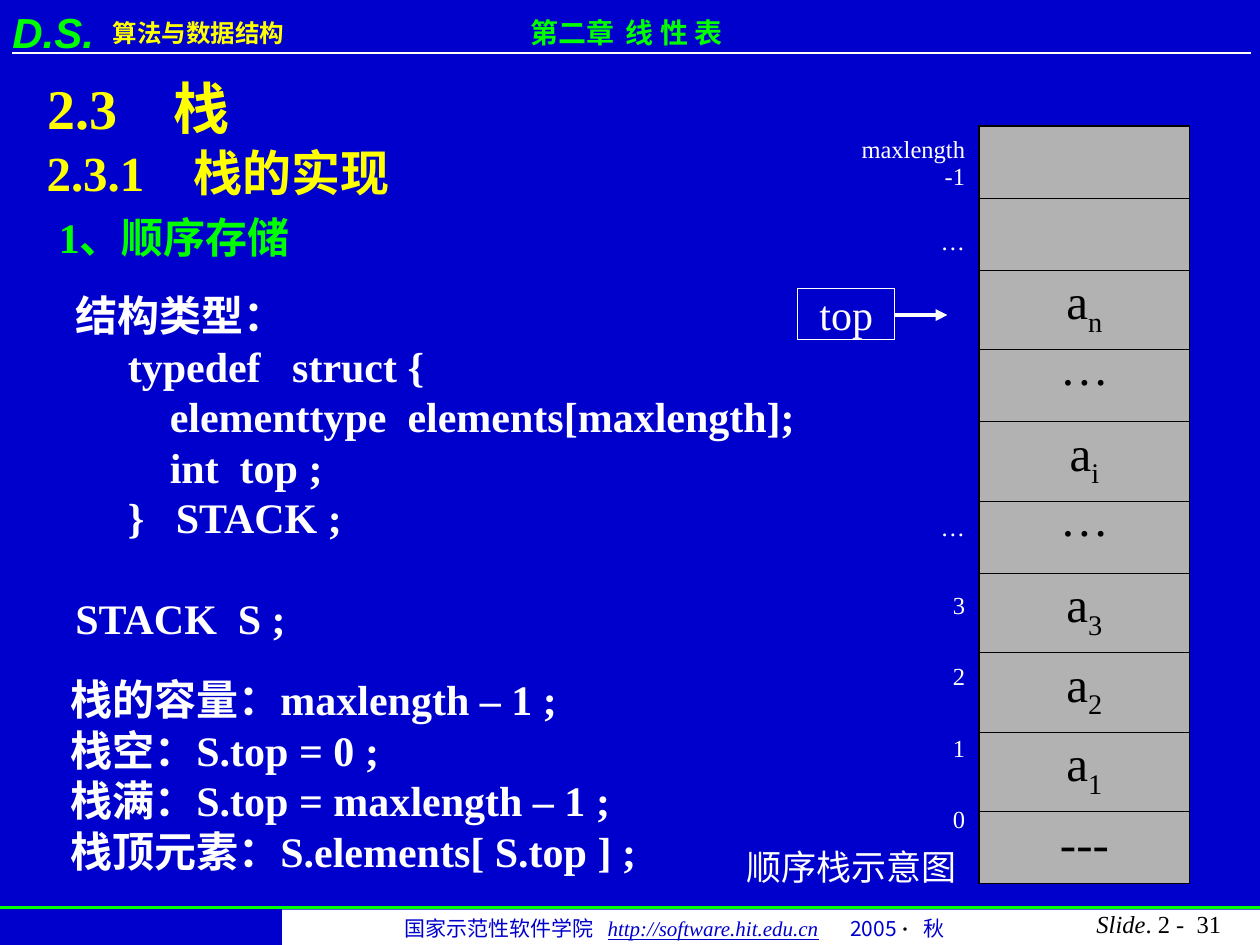
"""Build the slide on sequential storage of a stack."""
from lxml import etree
from pptx import Presentation
from pptx.dml.color import RGBColor
from pptx.enum import shapes as kind, text as mode
from pptx.oxml import ns
from pptx.util import Cm, Pt

BLUE = RGBColor(0x00, 0x00, 0xCC)
GREEN = RGBColor(0x00, 0xFF, 0x00)
YELLOW = RGBColor(0xFF, 0xFF, 0x00)
WHITE = RGBColor(0xFF, 0xFF, 0xFF)
BLACK = RGBColor(0x00, 0x00, 0x00)
GRAY = RGBColor(0xB2, 0xB2, 0xB2)
ROMAN, HAN, SANS = "Times New Roman", "Noto Sans CJK SC", "Arial"
PLAIN = "{2D5ABB26-0587-4C30-8999-92F81FD0307C}"
RIGHT, CENTER = mode.PP_ALIGN.RIGHT, mode.PP_ALIGN.CENTER

CODE = [
    "结构类型：",
    "     typedef   struct {",
    "         elementtype  elements[maxlength];",
    "         int  top ;",
    "     }   STACK ;",
    "STACK  S ;",
]
FACTS = [
    "栈的容量：maxlength – 1 ;",
    "栈空：S.top = 0 ;",
    "栈满：S.top = maxlength – 1 ;",
    "栈顶元素：S.elements[ S.top ] ;",
]
TEXTS = [
    ((2.02, 0.23, 4.88, 0.86), ["算法与数据结构"], 14, HAN, YELLOW, True, []),
    ((10.44, 0.18, 5, 0.94), ["第二章\t线 性 表"], 16, ROMAN, GREEN, True, [1.93]),
    ((0.69, 2.74, 8.2, 1.45), ["2.3.1\t栈的实现"], 28, ROMAN, YELLOW, True, [2.97]),
    ((0.71, 1.35, 5, 1.63), ["2.3\t栈"], 32, ROMAN, YELLOW, True, [2.54]),
    ((0.94, 4.14, 6, 1.27), ["1、顺序存储"], 24, ROMAN, GREEN, True, []),
    ((14.8, 16.92, 4.9, 1.12), ["顺序栈示意图"], 20, ROMAN, WHITE, False, []),
    ((1.17, 13.46, 13, 4.32), FACTS, 24, ROMAN, WHITE, True, []),
]
FOOT = [
    ("国家示范性软件学院\t", HAN, BLUE, False),
    ("http://software.hit.edu.cn", ROMAN, BLUE, True),
    ("\t2005 ", HAN, BLUE, False),
    ("·\t", ROMAN, BLACK, False),
    ("秋", HAN, BLUE, False),
]
STACK = [("", ""), ("", ""), ("a", "n"), ("···", ""), ("a", "i"), ("···", ""),
         ("a", "3"), ("a", "2"), ("a", "1"), ("---", "")]
MARKS = ["maxlength-1", "···", "", "", "", "···", "3", "2", "1", "0"]


def add(node, tag, **attrs):
    return etree.SubElement(node, ns.qn(tag), attrs)


def style(font, size, name, color, bold=False):
    font.size, font.name, font.bold = Pt(size), name, bold
    font.color.rgb = color
    add(font._rPr, "a:ea", typeface=HAN)


def set_tabs(para, stops):
    if stops:
        tabs = add(para._p.get_or_add_pPr(), "a:tabLst")
        for stop in stops:
            add(tabs, "a:tab", pos=str(Cm(stop)), algn="l")


def write(slide, place, lines, size, name, color, bold=False, stops=()):
    frame = slide.shapes.add_textbox(*map(Cm, place)).text_frame
    frame.word_wrap = True
    for i, line in enumerate(lines):
        para = frame.add_paragraph() if i else frame.paragraphs[0]
        para.add_run().text = line
        set_tabs(para, stops)
        style(para.font, size, name, color, bold)
    return frame.paragraphs


def draw_line(slide, ends, color, width):
    line = slide.shapes.add_connector(kind.MSO_CONNECTOR.STRAIGHT, *map(Cm, ends))
    line.line.color.rgb, line.line.width = color, Pt(width)
    add(line._element.spPr, "a:effectLst")
    return line


def draw_box(slide, place):
    box = slide.shapes.add_shape(kind.MSO_SHAPE.RECTANGLE, *map(Cm, place))
    box.shadow.inherit = False
    return box


def draw_table(slide, left, width, highs, fill):
    place = map(Cm, (left, 2.54, width, sum(highs)))
    table = slide.shapes.add_table(len(highs), 1, *place).table
    table.first_row = table.horz_banding = False
    table._tbl.tblPr.find(ns.qn("a:tableStyleId")).text = PLAIN
    for row, high in zip(table.rows, highs):
        row.height = Cm(high)
        row.cells[0].fill.solid()
        row.cells[0].fill.fore_color.rgb = fill
    return [row.cells[0] for row in table.rows]


def edge(cell, first, last):
    props = cell._tc.get_or_add_tcPr()
    sides = [("L", 1.08), ("R", 1.08), ("T", 1.08 if first else 0.45),
             ("B", 1.08 if last else 0.45)]
    for i, (side, width) in enumerate(sides):
        line = add(props, f"a:ln{side}", w=str(Pt(width)))
        add(add(line, "a:solidFill"), "a:srgbClr", val=str(BLACK))
        props.insert(i, line)


def draw_stack(slide):
    highs = [1.6 if sub else 1.45 for _, sub in STACK]
    cells = draw_table(slide, 19.74, 4.24, highs, GRAY)
    for i, (cell, (base, sub)) in enumerate(zip(cells, STACK)):
        edge(cell, i == 0, i == len(cells) - 1)
        para = cell.text_frame.paragraphs[0]
        para.alignment = CENTER
        style(para.font, 28, ROMAN, BLACK)
        if base:
            para.add_run().text = base
        if sub:
            run = para.add_run()
            run.text = sub
            run._r.get_or_add_rPr().set("baseline", "-25000")


def draw_marks(slide):
    cells = draw_table(slide, 16.99, 2.72, [1.44] * len(MARKS), BLUE)
    for cell, mark in zip(cells, MARKS):
        cell.vertical_anchor = mode.MSO_ANCHOR.BOTTOM
        cell.text = mark
        para = cell.text_frame.paragraphs[0]
        para.alignment = RIGHT
        style(para.font, 14, ROMAN, WHITE)


def draw_top(slide):
    arrow = draw_line(slide, (18.03, 6.35, 19.1, 6.35), WHITE, 2.25)
    add(arrow.line._get_or_add_ln(), "a:tailEnd", type="triangle")
    box = draw_box(slide, (16.08, 5.82, 1.96, 1.02))
    box.fill.background()
    box.line.color.rgb, box.line.width = WHITE, Pt(0.75)
    frame = box.text_frame
    frame.margin_left = frame.margin_right = frame.margin_top = frame.margin_bottom = 0
    para = frame.paragraphs[0]
    para.add_run().text = "top"
    para.alignment = CENTER
    style(para.font, 24, ROMAN, WHITE)


def draw_foot(slide):
    band = draw_box(slide, (5.69, 18.34, 19.71, 0.71))
    band.fill.solid()
    band.fill.fore_color.rgb = WHITE
    band.line.fill.background()
    frame = slide.shapes.add_textbox(*map(Cm, (7.9, 18.34, 11.99, 0.76))).text_frame
    frame.word_wrap = True
    para = frame.paragraphs[0]
    set_tabs(para, [4.1, 8.99, 10.46])
    for words, name, color, link in FOOT:
        run = para.add_run()
        run.text = words
        style(run.font, 12, name, color, words.startswith("·"))
        run.font.italic = run.font.underline = link
    para = write(slide, (21.11, 18.21, 3.76, 0.86), ["Slide"], 14, ROMAN, BLACK)[0]
    para.alignment = RIGHT
    para.runs[0].font.italic = True
    para.add_run().text = ". 2 -  31"


def main():
    deck = Presentation()
    deck.slide_width, deck.slide_height = Cm(25.4), Cm(19.05)
    slide = deck.slides.add_slide(deck.slide_layouts[6])
    slide.background.fill.solid()
    slide.background.fill.fore_color.rgb = BLUE
    draw_line(slide, (0.25, 1.07, 25.22, 1.07), WHITE, 0.75)
    draw_line(slide, (0, 18.29, 25.4, 18.29), GREEN, 2)
    write(slide, (0, 0, 2.54, 1.27), ["D.S."], 24, SANS, GREEN, True)[0].font.italic = True
    draw_foot(slide)
    for item in TEXTS:
        write(slide, *item)
    draw_stack(slide)
    draw_marks(slide)
    draw_top(slide)
    code = write(slide, (1.27, 5.72, 15.8, 7.37), CODE, 24, ROMAN, WHITE, True)
    code[-1].space_before = Pt(29)
    deck.save("out.pptx")


if __name__ == "__main__":
    main()
